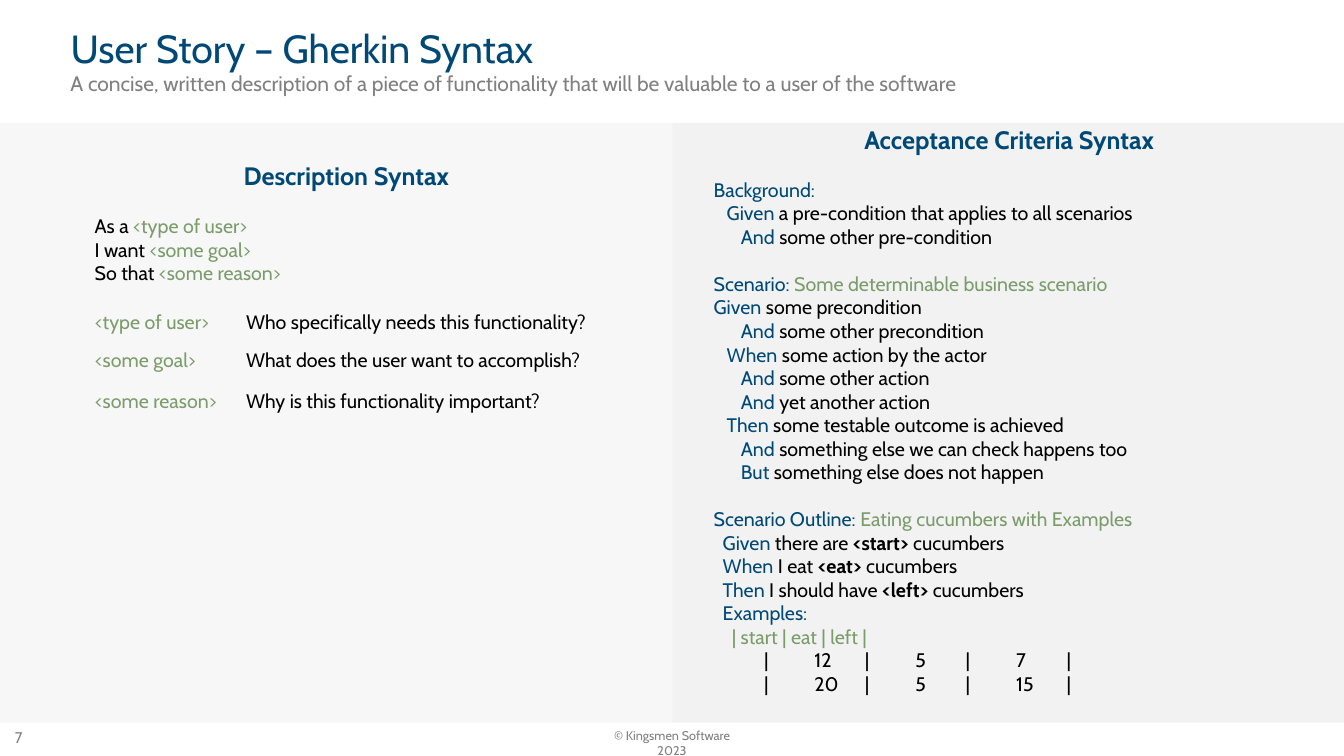
from dataclasses import dataclass
from typing import NamedTuple

from lxml.etree import SubElement
from pptx import Presentation
from pptx.dml.color import RGBColor
from pptx.enum.shapes import MSO_SHAPE
from pptx.enum.text import MSO_ANCHOR, MSO_AUTO_SIZE, PP_ALIGN
from pptx.oxml.ns import qn
from pptx.util import Inches, Pt

FONT = "Cabin"
NO_GRID_STYLE = "{2D5ABB26-0587-4C30-8999-92F81FD0307C}"
COLORS = {
    "navy": "004876",
    "green": "7B9C6B",
    "black": "000000",
    "gray": "808080",
    "left_panel": "F7F7F7",
    "right_panel": "F2F2F2",
}
BLANK_LINE = 16.8
STEP, DEEP, OUTLINE = 0.13, 0.27, 0.09


class Box(NamedTuple):
    left: float
    top: float
    width: float
    height: float


class Run(NamedTuple):
    text: str
    color: str = "black"
    bold: bool = False


@dataclass
class Line:
    runs: list[Run]
    indent: float = 0
    before: float = 0
    size: float = 14
    align: PP_ALIGN = PP_ALIGN.LEFT
    spacing: float = 1.0
    tabs: tuple[float, ...] = ()


def rgb(name: str) -> RGBColor:
    return RGBColor.from_string(COLORS[name])


def write(tf, lines: list[Line]) -> None:
    for i, line in enumerate(lines):
        p = tf.paragraphs[0] if i == 0 else tf.add_paragraph()
        p.alignment = line.align
        p.line_spacing = line.spacing
        p.space_before = Pt(line.before)
        pPr = p._p.get_or_add_pPr()
        pPr.set("marL", str(Inches(line.indent)))
        pPr.set("indent", "0")
        if line.tabs:
            tab_list = SubElement(pPr, qn("a:tabLst"))
            for stop in line.tabs:
                SubElement(tab_list, qn("a:tab"), pos=str(Inches(stop)), algn="l")
        for run in line.runs:
            r = p.add_run()
            r.text = run.text
            r.font.name = FONT
            r.font.size = Pt(line.size)
            r.font.bold = run.bold
            r.font.color.rgb = rgb(run.color)


def place(sp, box: Box) -> None:
    sp.left, sp.top, sp.width, sp.height = (Inches(v) for v in box)


def add_text(s, box: Box, lines: list[Line]) -> None:
    sp = s.shapes.add_textbox(*(Inches(v) for v in box))
    sp.text_frame.word_wrap = True
    write(sp.text_frame, lines)


def add_panel(s, box: Box, color: str) -> None:
    sp = s.shapes.add_shape(MSO_SHAPE.RECTANGLE, *(Inches(v) for v in box))
    sp.shadow.inherit = False
    sp.fill.solid()
    sp.fill.fore_color.rgb = rgb(color)
    sp.line.fill.background()


def add_terms(s, box: Box, widths: list[float], heights: list[float],
              rows: list[tuple[str, str]]) -> None:
    table = s.shapes.add_table(len(rows), len(widths), *(Inches(v) for v in box)).table
    table.first_row = table.horz_banding = False
    table._tbl.tblPr.find(qn("a:tableStyleId")).text = NO_GRID_STYLE
    for col, width in zip(table.columns, widths):
        col.width = Inches(width)
    for row, height, texts in zip(table.rows, heights, rows):
        row.height = Inches(height)
        for cell, text, color in zip(row.cells, texts, ("green", "black")):
            cell.fill.background()
            write(cell.text_frame, [Line([Run(text, color)])])


def heading(text: str) -> Line:
    return Line([Run(text, "navy", True)], size=18, align=PP_ALIGN.CENTER)


def story(lead: str, term: str, before: float = 0) -> Line:
    return Line([Run(lead), Run(term, "green")], before=before)


def step(keyword: str, rest: str, indent: float = STEP) -> Line:
    return Line([Run(keyword, "navy"), Run(f" {rest}")], indent)


def outline_step(keyword: str, lead: str, variable: str) -> Line:
    runs = [Run(keyword, "navy"), Run(f" {lead} "), Run(variable, bold=True), Run(" cucumbers")]
    return Line(runs, OUTLINE)


def section(label: str, name: str = "", before: float = BLANK_LINE) -> Line:
    return Line([Run(label, "navy")] + ([Run(f" {name}", "green")] if name else []), before=before)


def example(values: list[str], tabs: tuple[float, ...]) -> Line:
    return Line([Run("\t|\t" + "\t|\t".join(values) + "\t|")], tabs=tabs)


def main() -> None:
    prs = Presentation()
    prs.slide_width, prs.slide_height = Inches(13.33), Inches(7.5)
    s = prs.slides.add_slide(prs.slide_layouts[5])

    add_panel(s, Box(0, 1.22, 6.67, 5.95), "left_panel")
    add_panel(s, Box(6.67, 1.22, 6.67, 5.95), "right_panel")

    title = s.shapes.title
    place(title, Box(0.6, 0.22, 11.5, 0.57))
    tf = title.text_frame
    tf.auto_size = MSO_AUTO_SIZE.NONE
    tf.vertical_anchor = MSO_ANCHOR.MIDDLE
    write(tf, [Line([Run("User Story – Gherkin Syntax", "navy")], size=28, spacing=0.9)])

    subtitle = ("A concise, written description of a piece of functionality "
                "that will be valuable to a user of the software")
    add_text(s, Box(0.6, 0.68, 10.24, 0.31),
             [Line([Run(subtitle, "gray")], size=15, spacing=0.9)])

    add_text(s, Box(0.84, 1.54, 5.19, 1.35), [
        heading("Description Syntax"),
        story("As a ", "<type of user>", BLANK_LINE),
        story("I want ", "<some goal>"),
        story("So that ", "<some reason>"),
    ])
    add_terms(s, Box(0.84, 3.03, 5.52, 1.14), [1.5, 4.02], [0.38, 0.4, 0.36], [
        ("<type of user>", "Who specifically needs this functionality?"),
        ("<some goal>", "What does the user want to accomplish?"),
        ("<some reason>", "Why is this functionality important?"),
    ])

    add_text(s, Box(6.98, 1.18, 6.06, 5.82), [
        heading("Acceptance Criteria Syntax"),
        section("Background:"),
        step("Given", "a pre-condition that applies to all scenarios"),
        step("And", "some other pre-condition", DEEP),
        section("Scenario:", "Some determinable business scenario"),
        step("Given", "some precondition", 0),
        step("And", "some other precondition", DEEP),
        step("When", "some action by the actor"),
        step("And", "some other action", DEEP),
        step("And", "yet another action", DEEP),
        step("Then", "some testable outcome is achieved"),
        step("And", "something else we can check happens too", DEEP),
        step("But", "something else does not happen", DEEP),
        section("Scenario Outline:", "Eating cucumbers with Examples"),
        outline_step("Given", "there are", "<start>"),
        outline_step("When", "I eat", "<eat>"),
        outline_step("Then", "I should have", "<left>"),
        Line([Run("Examples:", "navy")], OUTLINE),
        Line([Run("| start | eat | left |", "green")], 2 * OUTLINE),
        example(["12", "5", "7"], (0.18, 0.3, 0.61, 0.74, 0.93, 1.06, 1.3)),
        example(["20", "5", "15"], (0.18, 0.3, 0.68, 0.81, 1.0, 1.13, 1.4)),
    ])

    add_text(s, Box(5.88, 7.17, 1.57, 0.25),
             [Line([Run("© Kingsmen Software 2023", "gray")], size=9, align=PP_ALIGN.CENTER)])
    add_text(s, Box(0.05, 7.17, 0.36, 0.29), [Line([Run("7", "gray")], size=11)])

    prs.save("out.pptx")


if __name__ == "__main__":
    main()
